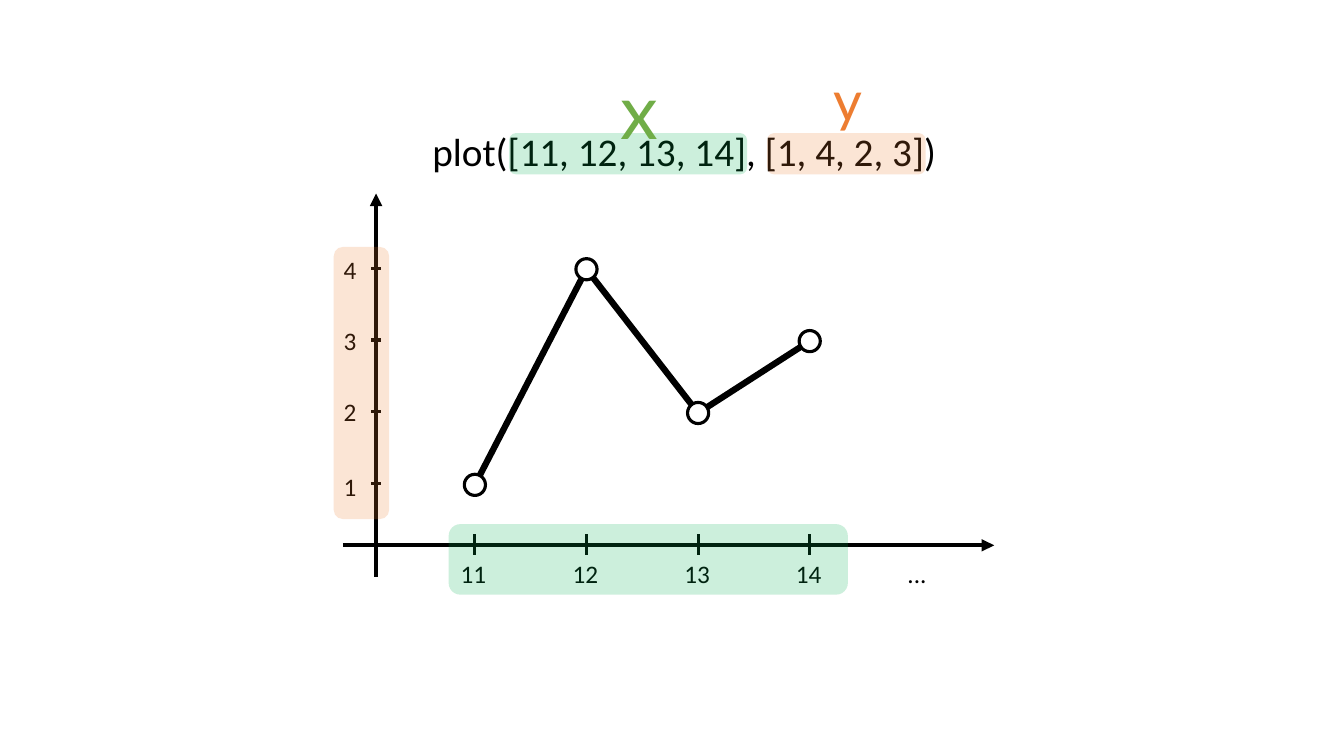
from dataclasses import dataclass
from lxml.etree import SubElement
from pptx import Presentation
from pptx.dml.color import RGBColor
from pptx.enum.shapes import MSO_CONNECTOR, MSO_SHAPE
from pptx.enum.text import MSO_AUTO_SIZE, PP_ALIGN
from pptx.oxml.ns import qn
from pptx.util import Inches, Pt


@dataclass(frozen=True)
class Theme:
    ink: str = "000000"
    paper: str = "FFFFFF"
    x_band: str = "00B050"
    y_band: str = "ED7D31"
    x_name: str = "70AD47"
    y_name: str = "ED7D31"
    font: str = "Calibri"
    name_font: str = "Lato"
    label_size: float = 18
    code_size: float = 28
    x_size: float = 54
    y_size: float = 40
    axis_width: float = 3
    tick_width: float = 2.25
    plot_width: float = 4.5
    band_alpha: int = 20


class PlotSlide:
    def __init__(self, prs, theme):
        self.theme = theme
        self.s = prs.slides.add_slide(prs.slide_layouts[6])

    def line(self, start, end, width, arrow=False):
        points = [Inches(v) for v in (*start, *end)]
        c = self.s.shapes.add_connector(MSO_CONNECTOR.STRAIGHT, *points)
        c.line.color.rgb = RGBColor.from_string(self.theme.ink)
        c.line.width = Pt(width)
        if arrow:
            SubElement(c.line._get_or_add_ln(), qn("a:tailEnd"), type="triangle")
        SubElement(c._element.spPr, qn("a:effectLst"))

    def shape(self, kind, box, color):
        sp = self.s.shapes.add_shape(kind, *[Inches(v) for v in box])
        sp.shadow.inherit = False
        sp.fill.solid()
        sp.fill.fore_color.rgb = RGBColor.from_string(color)
        return sp

    def marker(self, x, y, size=0.21):
        box = (x - size / 2, y - size / 2, size, size)
        sp = self.shape(MSO_SHAPE.OVAL, box, self.theme.paper)
        sp.line.color.rgb = RGBColor.from_string(self.theme.ink)
        sp.line.width = Pt(self.theme.tick_width)

    def band(self, box, color):
        sp = self.shape(MSO_SHAPE.ROUNDED_RECTANGLE, box, color)
        sp.line.fill.background()
        clr = sp._element.spPr.find(qn("a:solidFill"))[0]
        SubElement(clr, qn("a:alpha"), val=str(self.theme.band_alpha * 1000))

    def text(self, text, box, size=None, color=None, font=None, align=PP_ALIGN.LEFT):
        tf = self.s.shapes.add_textbox(*[Inches(v) for v in box]).text_frame
        tf.text = text
        tf.word_wrap = False
        tf.auto_size = MSO_AUTO_SIZE.SHAPE_TO_FIT_TEXT
        p = tf.paragraphs[0]
        p.alignment = align
        r = p.runs[0]
        r.font.size = Pt(size or self.theme.label_size)
        r.font.name = font or self.theme.font
        r.font.color.rgb = RGBColor.from_string(color or self.theme.ink)


def main():
    theme = Theme()
    prs = Presentation()
    prs.slide_width, prs.slide_height = Inches(13.33), Inches(7.5)
    slide = PlotSlide(prs, theme)

    x_values, y_values = [11, 12, 13, 14], [1, 4, 2, 3]
    x_axis, y_axis = 5.41, 3.73
    x_at = {v: 4.71 + 1.107 * i for i, v in enumerate(x_values)}
    y_at = {v: 4.8 - 0.713 * i for i, v in enumerate(sorted(y_values))}

    slide.line((3.4, x_axis), (9.86, x_axis), theme.axis_width, arrow=True)
    slide.line((y_axis, 5.72), (y_axis, 1.92), theme.axis_width, arrow=True)

    for (value, y), top in zip(y_at.items(), (4.63, 3.88, 3.18, 2.47)):
        slide.line((y_axis - 0.05, y), (y_axis + 0.05, y), theme.tick_width)
        slide.text(str(value), (3.31, top, 0.33, 0.4))

    for value, x in x_at.items():
        slide.line((x, x_axis - 0.11), (x, x_axis + 0.1), theme.tick_width)
        align = PP_ALIGN.LEFT if value == x_values[0] else PP_ALIGN.CENTER
        slide.text(str(value), (x - 0.24, 5.49, 0.46, 0.4), align=align)
    slide.text("...", (8.9, 5.49, 0.39, 0.4), align=PP_ALIGN.CENTER)

    points = [(x_at[x], y_at[y] + 0.01) for x, y in zip(x_values, y_values)]
    for start, end in zip(points, points[1:]):
        slide.line(start, end, theme.plot_width)
    for point in points:
        slide.marker(*point)

    slide.text(f"plot({x_values}, {y_values})", (4.19, 1.21, 5.27, 0.57), theme.code_size)
    slide.band((5.05, 1.32, 2.36, 0.41), theme.x_band)
    slide.band((7.61, 1.32, 1.57, 0.41), theme.y_band)
    slide.text("x", (6.06, 0.58, 0.46, 1.01), theme.x_size, theme.x_name, theme.name_font)
    slide.text("y", (8.17, 0.6, 0.44, 0.77), theme.y_size, theme.y_name, theme.name_font)
    slide.band((4.45, 5.2, 3.96, 0.7), theme.x_band)
    slide.band((3.31, 2.45, 0.55, 2.7), theme.y_band)

    prs.save("out.pptx")


if __name__ == "__main__":
    main()
